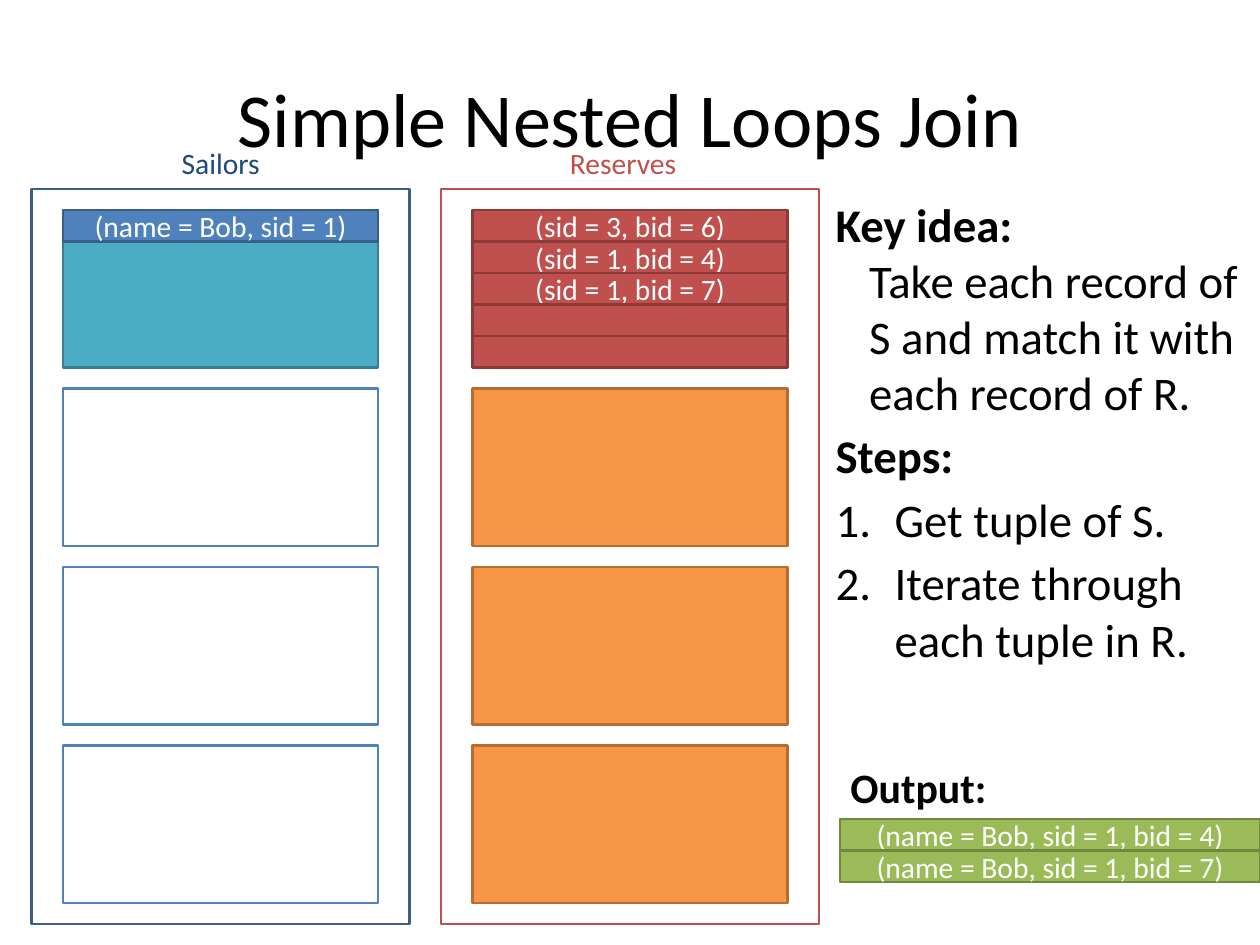
import pptx
import pptx.util
import pptx.dml.color
import pptx.enum.shapes
import pptx.enum.text
import pptx.oxml.ns
import lxml.etree

Pt = pptx.util.Pt
ALIGN = pptx.enum.text.PP_ALIGN
ANCHOR = pptx.enum.text.MSO_ANCHOR

TITLE = "Simple Nested Loops Join"
RELATIONS = [
    {
        "name": "Sailors", "color": "sailors_name", "left": 25.6,
        "label": (142.5, 75), "frame": (None, "3A5E8A"),
        "pages": [("4BACC6", "377E90")] + [("FFFFFF", "4F81BD")] * 3,
        "row": ("4F81BD", "3A5E8A"),
        "records": ["(name = Bob, sid = 1)"],
    },
    {
        "name": "Reserves", "color": "reserves_name", "left": 358.4,
        "label": (458, 98), "frame": ("FFFFFF", "C0504D"),
        "pages": [("F79646", "B46D33")] * 4,
        "row": ("C0504D", "8C3A38"),
        "records": ["(sid = 3, bid = 6)", "(sid = 1, bid = 4)", "(sid = 1, bid = 7)", "", ""],
    },
]
KEY_IDEA = ("Key idea:", "Take each record of S and match it with each record of R.")
STEPS_HEADING = "Steps:"
STEPS = ["Get tuple of S.", "Iterate through each tuple in R."]
OUTPUT_HEADING = "Output:"
OUTPUT_ROW = ("9BBB59", "718841")
OUTPUT_RECORDS = ["(name = Bob, sid = 1, bid = 4)", "(name = Bob, sid = 1, bid = 7)"]

THEME = {
    "font": "Calibri",
    "text": "000000", "record_text": "FFFFFF",
    "sailors_name": "1F497D", "reserves_name": "C0504D",
    "title": 62, "body": 38, "output": 34, "record": 24,
    "line": 2, "inset": 5.12,
}

SLIDE_WIDTH, SLIDE_HEIGHT = 1024, 768
FRAME_TOP, FRAME_WIDTH, FRAME_HEIGHT = 153.6, 307.2, 597.33
PAGE_INDENT, PAGE_TOP, PAGE_WIDTH, PAGE_HEIGHT, PAGE_PITCH = 25.6, 170.67, 256, 128, 145.07
ROW_HEIGHT = 25.6
LABEL_TOP, LABEL_HEIGHT = 112.5, 39.5
OUTPUT_LEFT, OUTPUT_TOP, OUTPUT_WIDTH = 682.67, 665.6, 341.33

deck = pptx.Presentation()
deck.slide_width, deck.slide_height = Pt(SLIDE_WIDTH), Pt(SLIDE_HEIGHT)
slide = deck.slides.add_slide(deck.slide_layouts[6])


def rgb(value):
    return pptx.dml.color.RGBColor.from_string(value)


def style_paragraph(para, size, color, bold=False, align=ALIGN.LEFT):
    para.alignment = align
    para.font.name = THEME["font"]
    para.font.size = Pt(THEME[size])
    para.font.color.rgb = rgb(THEME[color])
    para.font.bold = bold


def add_rectangle(bounds, colors, text=""):
    fill, line = colors
    box = slide.shapes.add_shape(
        pptx.enum.shapes.MSO_SHAPE.RECTANGLE, *[Pt(value) for value in bounds])
    box.shadow.inherit = False
    if fill:
        box.fill.solid()
        box.fill.fore_color.rgb = rgb(fill)
    else:
        box.fill.background()
    box.line.color.rgb = rgb(line)
    box.line.width = Pt(THEME["line"])
    if text:
        frame = box.text_frame
        frame.margin_top = frame.margin_bottom = 0
        frame.vertical_anchor = ANCHOR.MIDDLE
        frame.text = text
        style_paragraph(frame.paragraphs[0], "record", "record_text", align=ALIGN.CENTER)


def add_records(left, top, width, colors, records):
    for index, record in enumerate(records):
        add_rectangle((left, top + index * ROW_HEIGHT, width, ROW_HEIGHT), colors, record)


def add_text_frame(bounds, wrap=True, anchor=ANCHOR.TOP):
    frame = slide.shapes.add_textbox(*[Pt(value) for value in bounds]).text_frame
    frame.word_wrap = wrap
    frame.vertical_anchor = anchor
    frame.margin_left = frame.margin_right = Pt(THEME["inset"])
    frame.margin_top = frame.margin_bottom = Pt(THEME["inset"])
    return frame


def add_label(bounds, text, size, color, bold=False):
    frame = add_text_frame(bounds, wrap=False)
    frame.text = text
    style_paragraph(frame.paragraphs[0], size, color, bold)


def format_body(para, indent, bold=False, numbered=False):
    style_paragraph(para, "body", "text", bold)
    para.space_before = Pt(6)
    properties = para._p.get_or_add_pPr()
    properties.set("marL", str(Pt(indent)))
    properties.set("indent", str(-Pt(indent)))
    if numbered:
        bullet = lxml.etree.Element(pptx.oxml.ns.qn("a:buAutoNum"), type="arabicPeriod")
        properties.find(pptx.oxml.ns.qn("a:spcBef")).addnext(bullet)


title = add_text_frame((51.2, 30.75, 921.6, 128), anchor=ANCHOR.MIDDLE)
title.text = TITLE
style_paragraph(title.paragraphs[0], "title", "text", align=ALIGN.CENTER)

for relation in RELATIONS:
    left = relation["left"]
    page_left = left + PAGE_INDENT
    add_rectangle((left, FRAME_TOP, FRAME_WIDTH, FRAME_HEIGHT), relation["frame"])
    for index, colors in enumerate(relation["pages"]):
        add_rectangle(
            (page_left, PAGE_TOP + index * PAGE_PITCH, PAGE_WIDTH, PAGE_HEIGHT), colors)
    add_records(page_left, PAGE_TOP, PAGE_WIDTH, relation["row"], relation["records"])
    label_left, label_width = relation["label"]
    add_label((label_left, LABEL_TOP, label_width, LABEL_HEIGHT),
              relation["name"], "record", relation["color"])

body = add_text_frame((674, 153.6, 350, 507))
idea = body.paragraphs[0]
format_body(idea, 27.2)
heading = idea.add_run()
heading.text = KEY_IDEA[0]
heading.font.bold = True
idea.add_line_break()
idea.add_run().text = KEY_IDEA[1]
steps = body.add_paragraph()
steps.text = STEPS_HEADING
format_body(steps, 27.2, bold=True)
for step in STEPS:
    para = body.add_paragraph()
    para.text = step
    format_body(para, 48, numbered=True)

add_label((686, 614, 122, 51), OUTPUT_HEADING, "output", "text", bold=True)
add_records(OUTPUT_LEFT, OUTPUT_TOP, OUTPUT_WIDTH, OUTPUT_ROW, OUTPUT_RECORDS)

deck.save("out.pptx")
